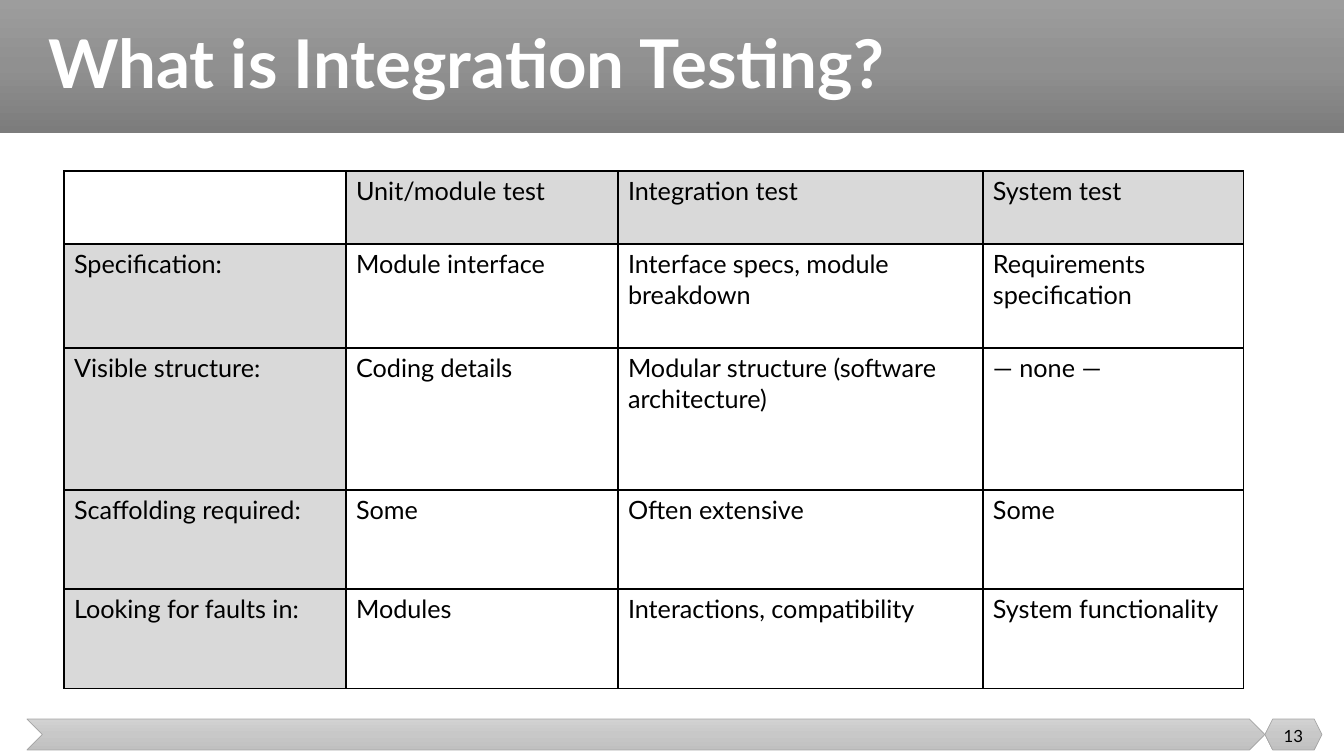
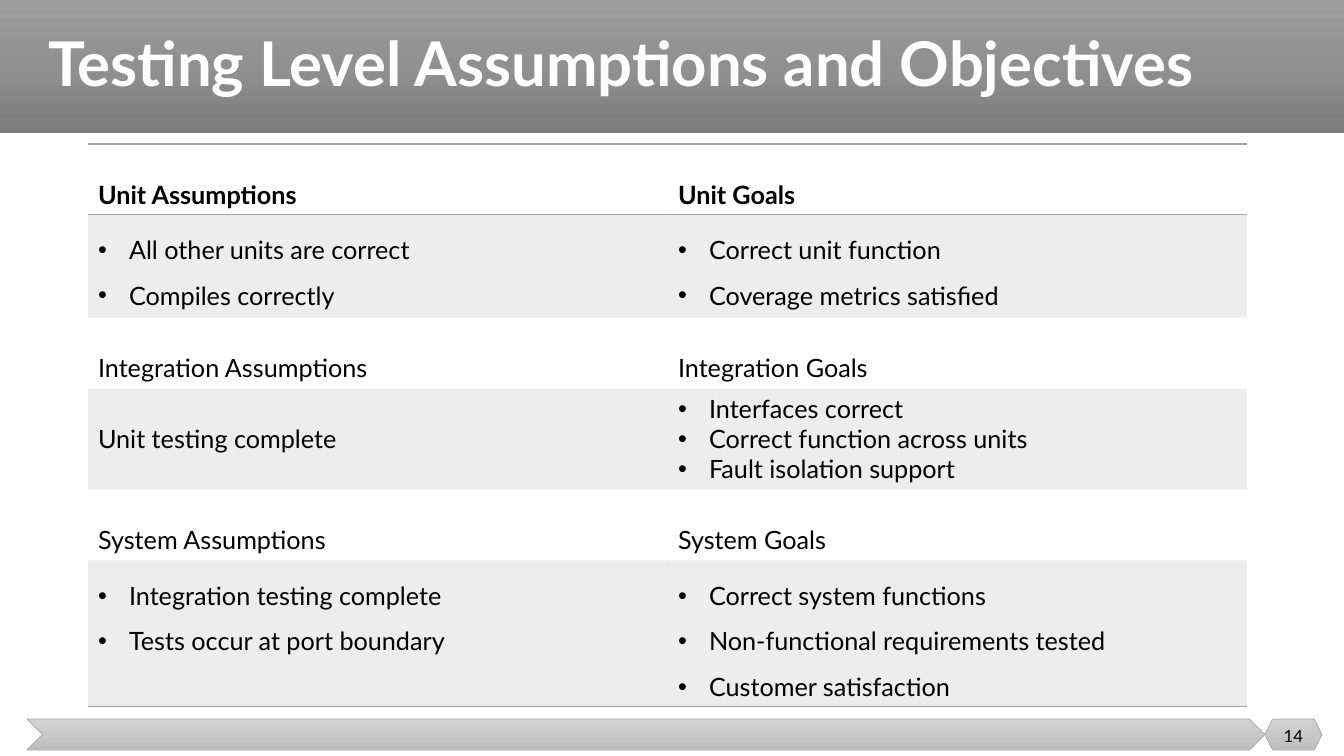
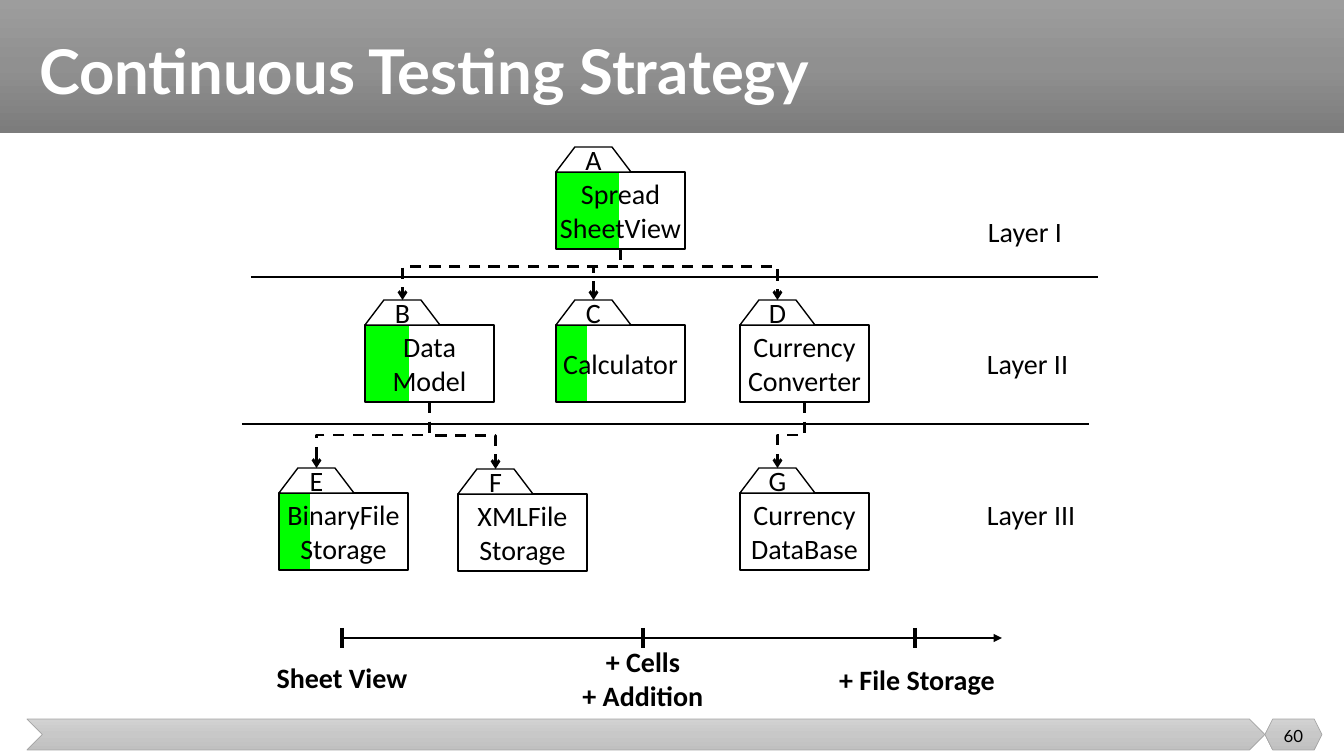
"""Build three slides on testing levels: two tables and a layered module diagram."""
from copy import deepcopy

from lxml.etree import SubElement
from pptx import Presentation
from pptx.dml.color import RGBColor
from pptx.enum.dml import MSO_LINE
from pptx.enum.shapes import MSO_CONNECTOR, MSO_SHAPE
from pptx.enum.text import MSO_ANCHOR, MSO_AUTO_SIZE, PP_ALIGN
from pptx.oxml.ns import qn
from pptx.util import Emu, Pt

PX = 914400 / 100.8
HEX = {"black": "000000", "white": "FFFFFF", "header": "D9D9D9", "grey": "A5A5A5", "green": "00FF00"}
RGB = {name: RGBColor.from_string(value) for name, value in HEX.items()}
BAND = ("9D9D9D", "909090", "7C7C7C")
FOOTER = ("D2D2D2", "C8C8C8", "C0C0C0")
NO_STYLE = "{2D5ABB26-0587-4C30-8999-92F81FD0307C}"
BODY = {"name": "Lato", "size": Pt(18), "bold": False}
BODY_BOLD = {**BODY, "bold": True}
LABEL = {"name": "Calibri", "size": Pt(20), "bold": False}
LABEL_BOLD = {**LABEL, "bold": True}
CENTER = {"alignment": PP_ALIGN.CENTER}


def px(*values):
    """Turn pixels into EMU."""
    return [Emu(round(v * PX)) for v in values]


def write(tf, text, font, para, color="black"):
    """Fill a text frame, one paragraph a line."""
    for i, line in enumerate(text.split("\n")):
        p = tf.add_paragraph() if i else tf.paragraphs[0]
        p.text = line
        for key, value in para.items():
            setattr(p, key, value)
        for r in p.runs:
            r.font.color.rgb = RGB[color]
            for key, value in font.items():
                setattr(r.font, key, value)


prs = Presentation()
prs.slide_width, prs.slide_height = px(1344, 756)
layout = prs.slide_layouts[5]
for ph in list(layout.placeholders)[1:]:
    ph.element.getparent().remove(ph.element)

titles = [
    ("What is Integration Testing?", 48, (38, 0, 1284, 133), "13"),
    ("Testing Level Assumptions and Objectives", 44, (38, 0, 1284, 133), "14"),
    ("Continuous Testing Strategy", 44, (29, 20, 1008, 109), "60"),
]
slides = []
for title, size, place, number in titles:
    s = prs.slides.add_slide(layout)
    slides.append(s)
    sp = s.shapes.title
    sp.left, sp.top, sp.width, sp.height = px(*place)
    tf = sp.text_frame
    tf.word_wrap, tf.auto_size = True, MSO_AUTO_SIZE.NONE
    tf.vertical_anchor = MSO_ANCHOR.MIDDLE
    write(tf, title, {"name": "Lato", "size": Pt(size), "bold": True},
          {"alignment": PP_ALIGN.LEFT, "line_spacing": 0.9}, "white")
    tf = s.shapes.add_textbox(*px(1265, 716, 57, 40)).text_frame
    tf.word_wrap, tf.vertical_anchor = True, MSO_ANCHOR.MIDDLE
    write(tf, number, {"name": "Lato", "size": Pt(12)}, CENTER)

frame = []
for kind, place, colors in [
    (MSO_SHAPE.RECTANGLE, (0, 0, 1344, 133), BAND),
    (MSO_SHAPE.CHEVRON, (27, 719, 1238, 31), FOOTER),
    (MSO_SHAPE.HEXAGON, (1265, 719, 57, 31), FOOTER),
]:
    sp = slides[0].shapes.add_shape(kind, *px(*place))
    sp.shadow.inherit = False
    sp.fill.gradient()
    sp.fill.gradient_angle = 270
    stops = sp.element.spPr.find(".//" + qn("a:gsLst"))
    stops.insert(1, deepcopy(stops[0]))
    for stop, color, position in zip(sp.fill.gradient_stops, colors, (0, 0.5, 1)):
        stop.color.rgb = RGBColor.from_string(color)
        stop.position = position
    if colors is FOOTER:
        sp.line.color.rgb, sp.line.width = RGB["grey"], Pt(0.5)
    else:
        sp.line.fill.background()
    frame.append(sp)
for i, sp in enumerate(frame):
    layout.shapes.element.insert(2 + i, sp.element)

levels = [
    ["", "Unit/module test", "Integration test", "System test"],
    ["Specification:", "Module interface", "Interface specs, module breakdown", "Requirements specification"],
    ["Visible structure:", "Coding details", "Modular structure (software architecture)", "— none —"],
    ["Scaffolding required:", "Some", "Often extensive", "Some"],
    ["Looking for faults in:", "Modules", "Interactions, compatibility", "System functionality"],
]
goals = [
    ["Unit Assumptions", "Unit Goals"],
    ["All other units are correct\nCompiles correctly", "Correct unit function\nCoverage metrics satisfied"],
    ["Integration Assumptions", "Integration Goals"],
    ["Unit testing complete", "Interfaces correct\nCorrect function across units\nFault isolation support"],
    ["System Assumptions", "System Goals"],
    ["Integration testing complete\nTests occur at port boundary",
     "Correct system functions\nNon-functional requirements tested\nCustomer satisfaction"],
]
goal_sides = {0: "TB", 5: "B"}
for s, rows, corner, widths, heights in [
    (slides[0], levels, (64, 171), (282, 272, 365, 261), (73, 104, 142, 99, 100)),
    (slides[1], goals, (88, 144), (580, 579), (70, 103, 71, 100, 71, 146)),
]:
    place = px(*corner, sum(widths), sum(heights))
    table = s.shapes.add_table(len(rows), len(widths), *place).table
    table.first_row = table.horz_banding = False
    table._tbl.tblPr.find(qn("a:tableStyleId")).text = NO_STYLE
    for column, width in zip(table.columns, px(*widths)):
        column.width = width
    for row, height in zip(table.rows, px(*heights)):
        row.height = height
    for i, texts in enumerate(rows):
        for j, text in enumerate(texts):
            cell = table.cell(i, j)
            grid = rows is levels
            bulleted = "\n" in text
            spacing = 1.0 if grid or (i == 3 and bulleted) else 1.5 if bulleted else 2.0
            write(cell.text_frame, text, BODY if grid or i else BODY_BOLD, {"line_spacing": spacing})
            tcPr = cell._tc.get_or_add_tcPr()
            for side in "LRTB" if grid else goal_sides.get(i, ""):
                ln = SubElement(tcPr, qn("a:ln" + side), w=str(Pt(1)))
                line_fill = SubElement(ln, qn("a:solidFill"))
                SubElement(line_fill, qn("a:srgbClr"), val=HEX["black" if grid else "grey"])
            shaded = (i == 0) != (j == 0) if grid else i % 2
            if shaded:
                cell.fill.solid()
                cell.fill.fore_color.rgb = RGB["header" if grid else "grey"]
                if not grid:
                    SubElement(tcPr.find(qn("a:solidFill"))[0], qn("a:alpha"), val="20000")
            else:
                cell.fill.background()
            if bulleted:
                for p in cell.text_frame.paragraphs:
                    pPr = p._p.get_or_add_pPr()
                    indent = px(31)[0]
                    pPr.set("marL", str(indent))
                    pPr.set("indent", str(-indent))
                    SubElement(pPr, qn("a:buFont"), typeface="Arial")
                    SubElement(pPr, qn("a:buChar"), char="•")

s = slides[2]
BOX_W, BOX_H, TAB_W, TAB_H, SLANT = 129, 77, 75, 25, 19
modules = {
    "A": (556, 172, "Spread\vSheetView", (31, 17, 15)),
    "B": (365, 325, "Data\vModel", (13, 31)),
    "C": (556, 325, "Calculator", (31,)),
    "D": (740, 325, "Currency\nConverter", ()),
    "E": (279, 493, "BinaryFile\vStorage", (31,)),
    "F": (458, 494, "XMLFile\vStorage", ()),
    "G": (740, 493, "Currency\vDataBase", ()),
}
for letter, (x, y, name, done) in modules.items():
    for i, width in enumerate(done):
        sp = s.shapes.add_shape(MSO_SHAPE.RECTANGLE, *px(x + sum(done[:i]), y, width, BOX_H))
        sp.shadow.inherit = False
        sp.fill.solid()
        sp.fill.fore_color.rgb = RGB["green"]
        sp.line.fill.background()
    box = s.shapes.add_shape(MSO_SHAPE.RECTANGLE, *px(x, y, BOX_W, BOX_H))
    outline = s.shapes.build_freeform(x, y, scale=PX)
    outline.add_line_segments([(x + SLANT, y - TAB_H), (x + TAB_W - SLANT, y - TAB_H), (x + TAB_W, y)])
    tab = outline.convert_to_shape()
    for sp, text in ((box, name), (tab, letter)):
        sp.shadow.inherit = False
        if sp is box and done:
            sp.fill.background()
        else:
            sp.fill.solid()
            sp.fill.fore_color.rgb = RGB["white"]
        sp.line.color.rgb, sp.line.width = RGB["black"], Pt(1)
        tf = sp.text_frame
        tf.margin_left = tf.margin_right = tf.margin_top = tf.margin_bottom = 0
        tf.word_wrap, tf.vertical_anchor = False, MSO_ANCHOR.MIDDLE
        write(tf, text, LABEL, CENTER)

lines = [(251, 277, 1098, 277, 1, None), (242, 424, 1089, 424, 1, None), (341, 638, 1002, 638, 2, "triangle")]
lines += [(x, 628, x, 648, 2.5, None) for x in (342, 643, 915)]
for start, end in ("AB", "AC", "AD", "DG", "BF", "BE"):
    (x1, y1), (x2, y2) = modules[start][:2], modules[end][:2]
    lines.append((x1 + BOX_W / 2, y1 + BOX_H, x2 + TAB_W / 2, y2 - TAB_H, 2, "arrow"))
for x1, y1, x2, y2, width, head in lines:
    if head == "arrow":
        mid_x, mid_y, half_w, half_h = (x1 + x2) / 2, (y1 + y2) / 2, abs(x2 - x1) / 2, (y2 - y1) / 2
        turn = 1 if x2 < x1 else -1
        ends = px(mid_x - turn * half_h, mid_y - half_w, mid_x + turn * half_h, mid_y + half_w)
        sp = s.shapes.add_connector(MSO_CONNECTOR.ELBOW, *ends)
        sp.rotation = 90 * turn % 360
        bend = 34000 if y1 < 277 else 50000
        guides = sp.element.spPr.find(".//" + qn("a:avLst"))
        SubElement(guides, qn("a:gd"), name="adj1", fmla=f"val {bend}")
        sp.line.dash_style = MSO_LINE.DASH
    else:
        sp = s.shapes.add_connector(MSO_CONNECTOR.STRAIGHT, *px(x1, y1, x2, y2))
    sp.line.color.rgb, sp.line.width = RGB["black"], Pt(width)
    if head:
        SubElement(sp.line._get_or_add_ln(), qn("a:tailEnd"), type=head)
    SubElement(sp.element.spPr, qn("a:effectLst"))

for text, place, font, para in [
    ("Layer I", (978, 210, 95, 43), LABEL, {}),
    ("Layer II", (977, 342, 102, 43), LABEL, {}),
    ("Layer III", (977, 493, 109, 43), LABEL, {}),
    ("Sheet View", (266, 655, 152, 44), LABEL_BOLD, CENTER),
    ("+ Cells\n+ Addition", (572, 640, 142, 77), LABEL_BOLD, CENTER),
    ("+ File Storage", (828, 657, 178, 44), LABEL_BOLD, CENTER),
]:
    tf = s.shapes.add_textbox(*px(*place)).text_frame
    tf.word_wrap, tf.auto_size = False, MSO_AUTO_SIZE.SHAPE_TO_FIT_TEXT
    tf.vertical_anchor = MSO_ANCHOR.MIDDLE if para else MSO_ANCHOR.TOP
    write(tf, text, font, para)

prs.save("out.pptx")
